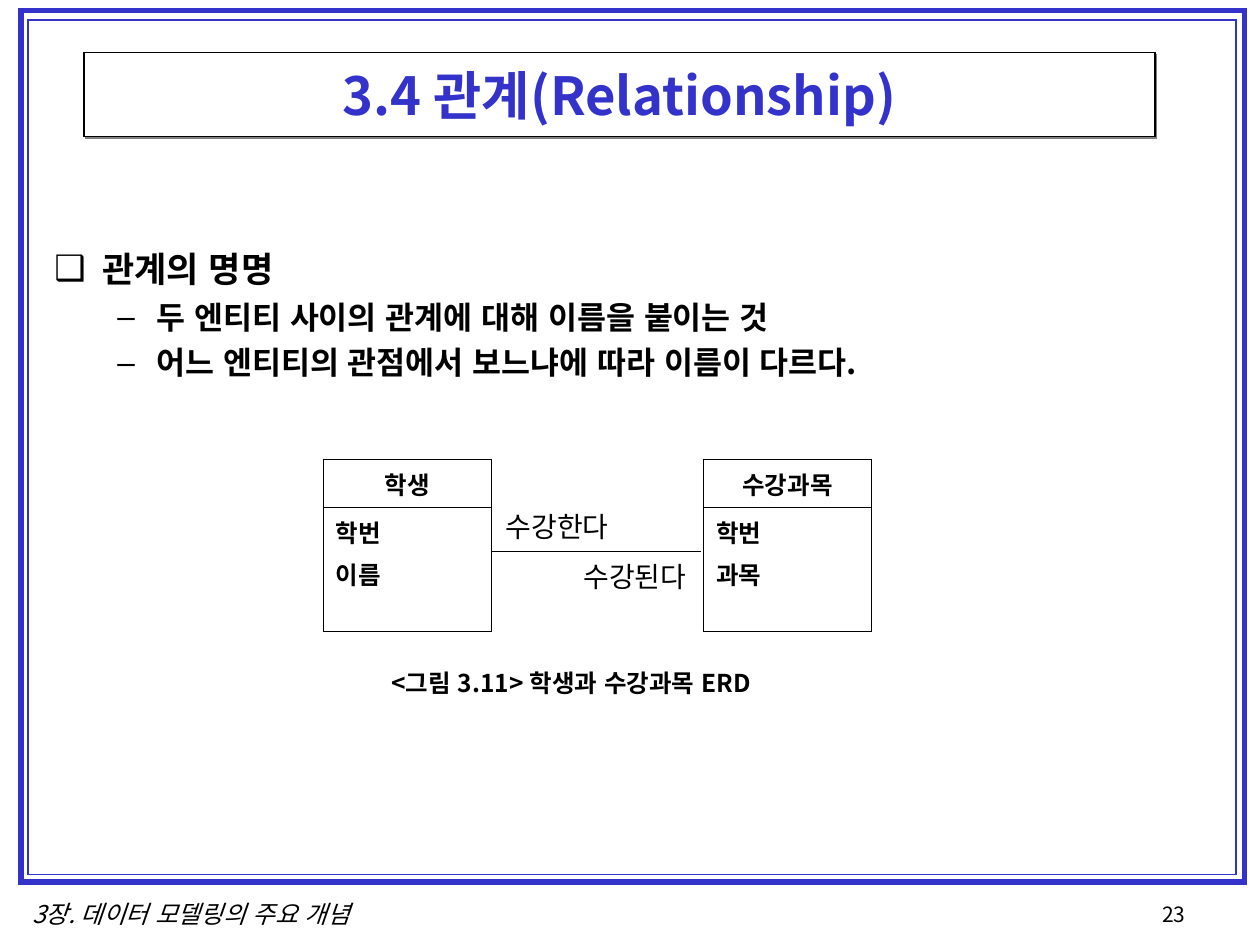
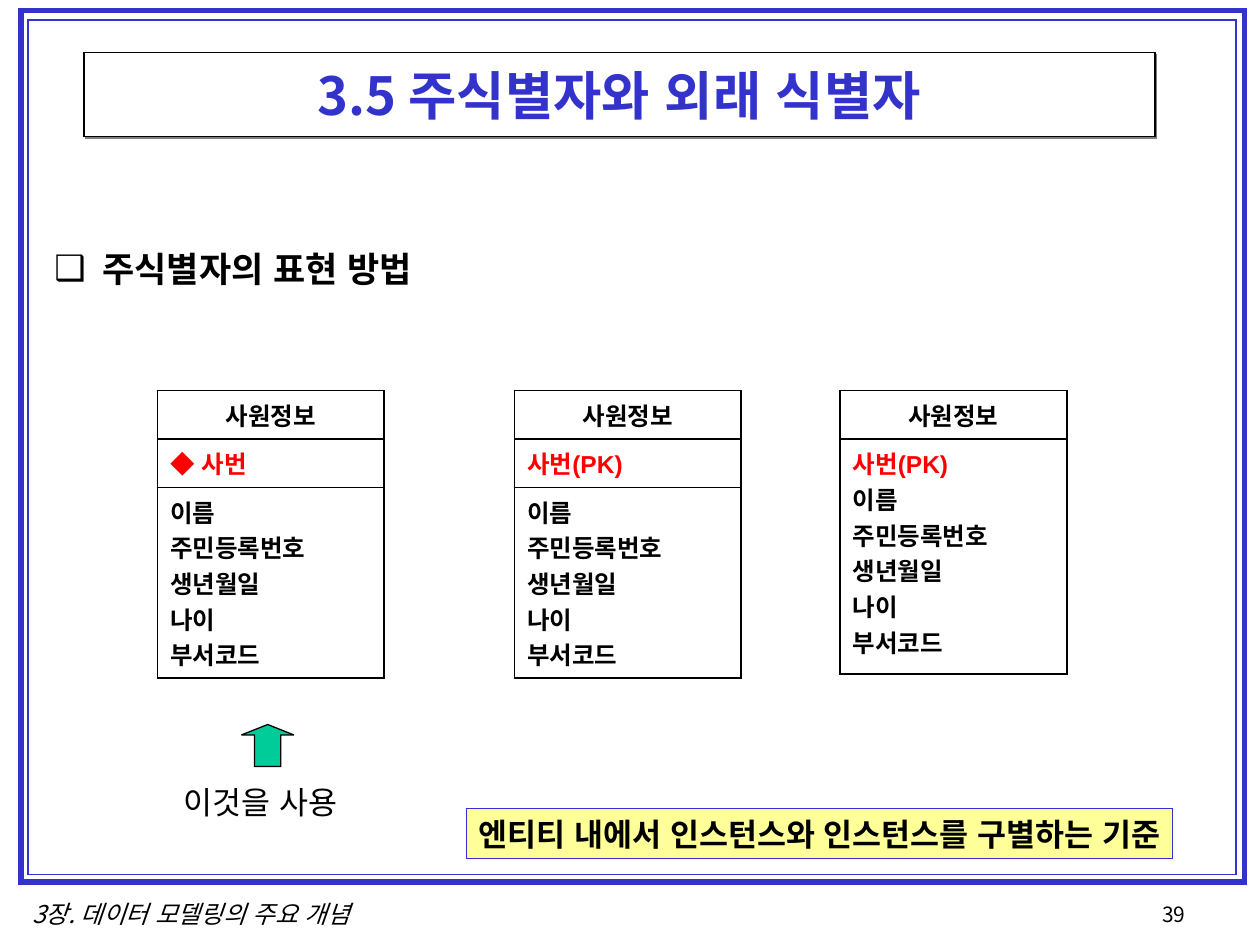
from dataclasses import dataclass

from lxml import etree
from pptx import Presentation
from pptx import util as u
from pptx.dml.color import RGBColor
from pptx.enum import shapes, text
from pptx.enum.lang import MSO_LANGUAGE_ID
from pptx.oxml.ns import qn


@dataclass(frozen=True)
class Theme:
    black: str = "000000"
    white: str = "FFFFFF"
    blue: str = "3333CC"
    red: str = "FF0000"
    green: str = "00CC99"
    yellow: str = "FFFF99"
    gray: str = "808080"
    korean: str = "Noto Sans CJK KR"
    sans: str = "Arial"
    serif: str = "Times New Roman"
    title: int = 30
    heading: int = 20
    item: int = 18
    label: int = 16
    small: int = 14
    page: int = 12


THEME = Theme()
COLUMNS, ROWS = 120, 90
CHAPTER = "3장. 데이터 모델링의 주요 개념"
EMPLOYEE_FIELDS = ["이름", "주민등록번호", "생년월일", "나이", "부서코드"]
HEADER_ROW = 4.6
LEFT, CENTER = text.PP_ALIGN.LEFT, text.PP_ALIGN.CENTER


def add_xml(parent, tag, **attributes):
    return etree.SubElement(parent, qn(tag), {key: str(value) for key, value in attributes.items()})


class Deck:
    """Builds slides on a grid of COLUMNS by ROWS cells."""

    def __init__(self, theme):
        self.theme = theme
        self.presentation = Presentation()
        self.presentation.slide_width = u.Inches(10)
        self.presentation.slide_height = u.Inches(7.5)
        self.slide = None

    def x(self, columns):
        return round(self.presentation.slide_width * columns / COLUMNS)

    def y(self, rows):
        return round(self.presentation.slide_height * rows / ROWS)

    def box(self, left, top, width, height):
        return self.x(left), self.y(top), self.x(width), self.y(height)

    def new_slide(self, title, page):
        self.slide = self.presentation.slides.add_slide(self.presentation.slide_layouts[6])
        self.label(page, (109.5, 85.3, 10, 4), self.theme.page)
        self.label(CHAPTER, (0.2, 85, 36, 4), self.theme.small, italic=True, align=CENTER)
        self.shape((2, 1, 116.5, 83), line=self.theme.blue, weight=3)
        self.shape((2.65, 1.9, 115.1, 81.4), line=self.theme.blue, weight=1)
        self.title(title)

    def run(self, paragraph, words, size, color=None, font=None, bold=False, italic=False):
        run = paragraph.add_run()
        run.text = words
        run.font.size = u.Pt(size)
        run.font.bold, run.font.italic = bold, italic
        run.font.color.rgb = RGBColor.from_string(color or self.theme.black)
        run.font.name = font or self.theme.korean
        run.font.language_id = MSO_LANGUAGE_ID.KOREAN
        add_xml(run._r.get_or_add_rPr(), "a:ea", typeface=self.theme.korean)

    def shape(self, area, kind=shapes.MSO_SHAPE.RECTANGLE, fill=None, line=None, weight=0.75):
        shape = self.slide.shapes.add_shape(kind, *self.box(*area))
        shape.shadow.inherit = False
        if fill:
            shape.fill.solid()
            shape.fill.fore_color.rgb = RGBColor.from_string(fill)
        else:
            shape.fill.background()
        shape.line.color.rgb = RGBColor.from_string(line or self.theme.black)
        shape.line.width = u.Pt(weight)
        add_xml(shape._element.spPr.find(qn("a:ln")), "a:miter", lim=800000)
        return shape

    def title(self, words):
        shape = self.shape((8, 5, 102, 8), fill=self.theme.white)
        effects = shape._element.spPr.find(qn("a:effectLst"))
        shadow = add_xml(effects, "a:outerShdw", dist=u.Pt(1.4), dir=45 * 60000, algn="ctr", rotWithShape=0)
        add_xml(shadow, "a:srgbClr", val=self.theme.gray)
        shape.text_frame.vertical_anchor = text.MSO_ANCHOR.MIDDLE
        paragraph = shape.text_frame.paragraphs[0]
        paragraph.alignment = CENTER
        self.run(paragraph, words, self.theme.title, self.theme.blue, bold=True)

    def label(self, words, area, size, align=LEFT, **style):
        shape = self.slide.shapes.add_textbox(*self.box(*area))
        self.fill_label(shape.text_frame, words, size, align, True, **style)

    def note(self, words, area):
        shape = self.shape(area, fill=self.theme.yellow, line=self.theme.blue)
        self.fill_label(shape.text_frame, words, self.theme.item, LEFT, False, bold=True)

    def fill_label(self, frame, words, size, align, wrap, **style):
        frame.word_wrap = wrap
        frame.auto_size = text.MSO_AUTO_SIZE.SHAPE_TO_FIT_TEXT
        frame.vertical_anchor = text.MSO_ANCHOR.TOP
        frame.paragraphs[0].alignment = align
        self.run(frame.paragraphs[0], words, size, **style)

    def outline(self, heading, items=()):
        frame = self.slide.shapes.add_textbox(*self.box(4, 23, 112, 58)).text_frame
        frame.word_wrap = True
        self.bullet(frame.paragraphs[0], heading, "❑", self.theme.heading, 0, 0.38, 0.38)
        for item in items:
            paragraph = frame.add_paragraph()
            self.bullet(paragraph, item, "–", self.theme.item, 1, 0.81, 0.31)
            paragraph.space_before = u.Pt(4.5)

    def bullet(self, paragraph, words, mark, size, level, margin, hanging):
        paragraph.level = level
        properties = paragraph._p.get_or_add_pPr()
        properties.set("marL", str(u.Inches(margin)))
        properties.set("indent", str(-u.Inches(hanging)))
        add_xml(add_xml(properties, "a:buClr"), "a:srgbClr", val=self.theme.black)
        add_xml(properties, "a:buFont", typeface=self.theme.sans)
        add_xml(properties, "a:buChar", char=mark)
        self.run(paragraph, words, size, bold=True)

    def connector(self, start, end):
        line = self.slide.shapes.add_connector(
            shapes.MSO_CONNECTOR.STRAIGHT, self.x(start[0]), self.y(start[1]), self.x(end[0]), self.y(end[1]))
        line.line.color.rgb = RGBColor.from_string(self.theme.black)
        line.line.width = u.Pt(0.75)
        add_xml(line._element.spPr, "a:effectLst")

    def entity(self, left, top, width, name, sections, gap=0, key=None, divider=1.08):
        """Draws an entity; sections pairs each row height with its fields, key is the red field."""
        rows = [(HEADER_ROW, [name]), *sections]
        height = sum(row_height for row_height, _ in rows)
        table = self.slide.shapes.add_table(len(rows), 1, *self.box(left, top, width, height)).table
        table.first_row = table.horz_banding = False
        for index, (row_height, fields) in enumerate(rows):
            table.rows[index].height = self.y(row_height)
            cell = table.cell(index, 0)
            self.borders(cell, divider if index > 1 else 1.08, divider if index == 1 else 1.08)
            cell.fill.background()
            for number, field in enumerate(fields):
                frame = cell.text_frame
                paragraph = frame.add_paragraph() if number else frame.paragraphs[0]
                paragraph.alignment = LEFT if index else CENTER
                if number:
                    paragraph.space_before = u.Pt(gap)
                color = self.theme.red if field == key else self.theme.black
                self.run(paragraph, field, self.theme.small, color, self.theme.sans, bold=True)

    def borders(self, cell, top, bottom):
        properties = cell._tc.get_or_add_tcPr()
        for side, weight in zip("LRTB", (1.08, 1.08, top, bottom)):
            line = add_xml(properties, f"a:ln{side}", w=u.Pt(weight))
            add_xml(add_xml(line, "a:solidFill"), "a:srgbClr", val=self.theme.black)


def relationship_slide(deck):
    deck.new_slide("3.4 관계(Relationship)", "23")
    deck.outline("관계의 명명", [
        "두 엔티티 사이의 관계에 대해 이름을 붙이는 것",
        "어느 엔티티의 관점에서 보느냐에 따라 이름이 다르다.",
    ])
    for left, name, fields in (
        (30.8, "학생", ["학번", "이름"]),
        (67, "수강과목", ["학번", "과목"]),
    ):
        deck.entity(left, 43.75, 16, name, [(11.8, fields)], gap=3.5)
    deck.connector((46.8, 52.55), (66.8, 52.55))
    for words, left, top in (("수강한다", 47, 47.9), ("수강된다", 54.4, 52.7)):
        deck.label(words, (left, top, 13, 4.4), THEME.label, font=THEME.serif)
    deck.label("<그림 3.11> 학생과 수강과목 ERD", (36.1, 63, 37, 4.1), THEME.small, bold=True)


def identifier_slide(deck):
    deck.new_slide("3.5 주식별자와 외래 식별자", "39")
    deck.outline("주식별자의 표현 방법")
    for left, key, split in ((15, "◆ 사번", True), (49, "사번(PK)", True), (80, "사번(PK)", False)):
        if split:
            sections = [(HEADER_ROW, [key]), (18.2, EMPLOYEE_FIELDS)]
        else:
            sections = [(22.4, [key, *EMPLOYEE_FIELDS])]
        deck.entity(left, 37.2, 21.6, "사원정보", sections, key=key, divider=0.45 if split else 1.08)
    arrow = deck.shape((23, 69, 5, 4), shapes.MSO_SHAPE.UP_ARROW, fill=THEME.green)
    arrow.adjustments[0], arrow.adjustments[1] = 0.5, 0.25
    deck.label("이것을 사용", (16.3, 74, 18, 4.8), THEME.item)
    deck.note("엔티티 내에서 인스턴스와 인스턴스를 구별하는 기준", (44.4, 77, 67.3, 4.8))


def main():
    deck = Deck(THEME)
    relationship_slide(deck)
    identifier_slide(deck)
    deck.presentation.save("out.pptx")


if __name__ == "__main__":
    main()
